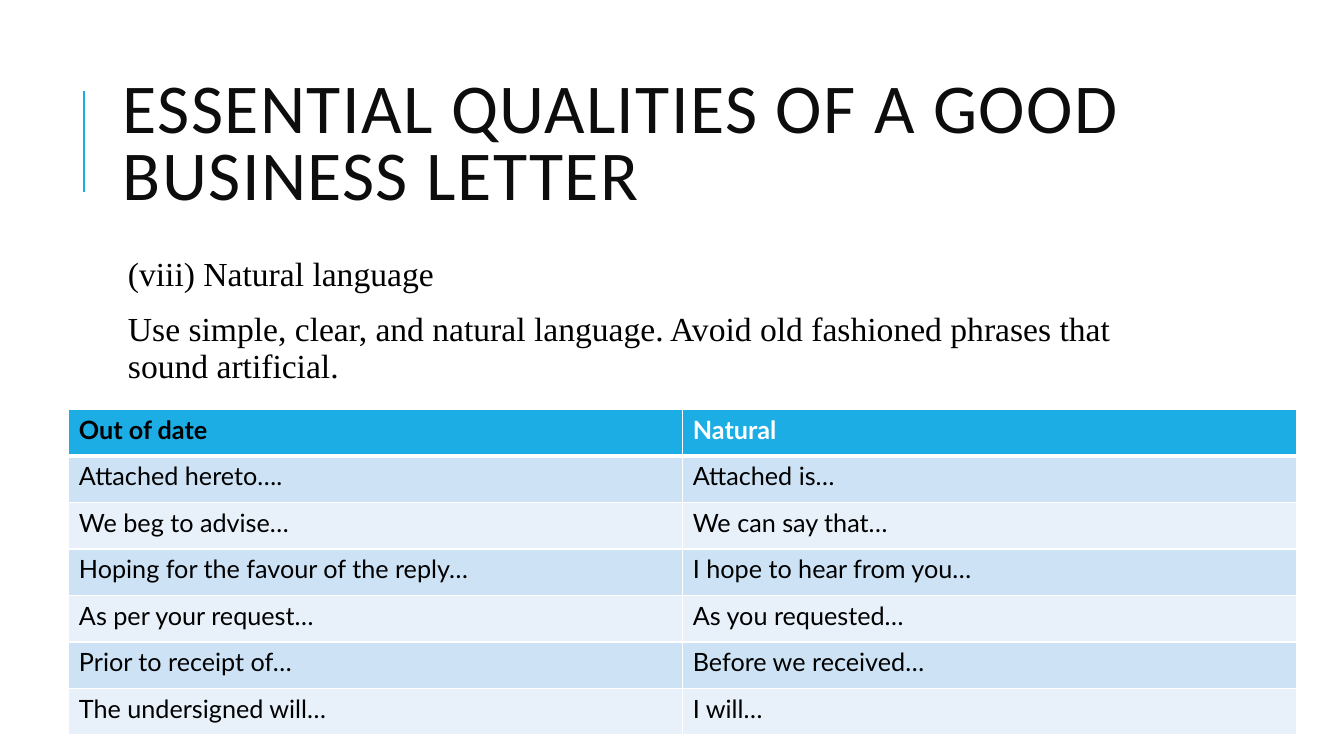
import lxml.etree
import pptx
import pptx.dml.color
import pptx.enum.shapes
import pptx.enum.text
import pptx.oxml.ns
import pptx.util

Pt = pptx.util.Pt
COLORS = {
    "accent": "1CADE4",
    "title": "0D0D0D",
    "black": "000000",
    "white": "FFFFFF",
    "band_dark": "CDE3F5",
    "band_light": "E8F1FA",
}
PHRASES = [
    ("Out of date", "Natural"),
    ("Attached hereto….", "Attached is…"),
    ("We beg to advise…", "We can say that…"),
    ("Hoping for the favour of the reply…", "I hope to hear from you…"),
    ("As per your request…", "As you requested…"),
    ("Prior to receipt of…", "Before we received…"),
    ("The undersigned will…", "I will…"),
]
ADVICE = [
    "(viii) Natural language",
    "Use simple, clear, and natural language. Avoid old fashioned phrases that sound artificial.",
]


def color(name):
    return pptx.dml.color.RGBColor.from_string(COLORS[name])


def add_element(parent, tag, **attributes):
    element = lxml.etree.SubElement(parent, pptx.oxml.ns.qn(tag))
    for name, value in attributes.items():
        element.set(name, str(value))
    return element


def write_text(paragraph, text, *, font, size, fill="black", bold=False,
               line_spacing=1.0, before=0, after=0, tracking=0):
    paragraph.alignment = pptx.enum.text.PP_ALIGN.LEFT
    paragraph.line_spacing = line_spacing
    paragraph.space_before, paragraph.space_after = Pt(before), Pt(after)
    run = paragraph.add_run()
    run.text = text
    run.font.name, run.font.size, run.font.bold = font, Pt(size), bold
    run.font.color.rgb = color(fill)
    if tracking:
        run.font._element.set("spc", str(tracking * 100))


def place(shape, left, top, width, height):
    shape.left, shape.top = Pt(left), Pt(top)
    shape.width, shape.height = Pt(width), Pt(height)
    shape.text_frame.word_wrap = True
    shape.text_frame.auto_size = pptx.enum.text.MSO_AUTO_SIZE.NONE


def build_title(slide, left, top, width, height):
    # Accent bar beside the title
    bar_left, bar_top, bar_height = left - 20.6, top + 18.7, 72
    bar = slide.shapes.add_connector(
        pptx.enum.shapes.MSO_CONNECTOR.STRAIGHT,
        Pt(bar_left), Pt(bar_top + bar_height), Pt(bar_left), Pt(bar_top))
    bar.line.color.rgb = color("accent")
    bar.line.width = Pt(1.5)
    add_element(bar._element.spPr, "a:effectLst")

    # Title text
    title = slide.shapes.title
    place(title, left, top, width, height)
    title.text_frame.vertical_anchor = pptx.enum.text.MSO_ANCHOR.MIDDLE
    write_text(title.text_frame.paragraphs[0],
               "ESSENTIAL QUALITIES OF A GOOD BUSINESS LETTER",
               font="Calibri", size=50, fill="title", line_spacing=0.8, tracking=1)


def build_advice(slide, left, top, width, height):
    body = slide.placeholders[1]
    place(body, left, top, width, height)
    frame = body.text_frame
    frame.vertical_anchor = pptx.enum.text.MSO_ANCHOR.TOP
    frame.margin_left = frame.margin_right = Pt(3.6)
    frame.margin_top = frame.margin_bottom = Pt(3.6)
    for index, text in enumerate(ADVICE):
        paragraph = frame.add_paragraph() if index else frame.paragraphs[0]
        write_text(paragraph, text, font="Times New Roman", size=24,
                   line_spacing=0.9, before=12, after=2)
        # Hanging indent with a blank bullet
        properties = paragraph._element.get_or_add_pPr()
        properties.set("marL", str(Pt(7.2)))
        properties.set("indent", str(Pt(-7.2)))
        bullet_color = add_element(properties, "a:buClr")
        add_element(bullet_color, "a:srgbClr", val=COLORS["accent"])
        add_element(properties, "a:buChar", char=" ")


def format_cell(cell, fill, bottom_width):
    # Borders precede the fill in the cell properties
    properties = cell._tc.get_or_add_tcPr()
    for side, width in (("L", 1), ("R", 1), ("T", 1), ("B", bottom_width)):
        border = add_element(properties, f"a:ln{side}", w=Pt(width))
        border_fill = add_element(border, "a:solidFill")
        add_element(border_fill, "a:srgbClr", val=COLORS["white"])
    cell.fill.solid()
    cell.fill.fore_color.rgb = color(fill)


def build_phrase_table(slide, left, top, width, height):
    row_count, column_count = len(PHRASES), len(PHRASES[0])
    table = slide.shapes.add_table(row_count, column_count, Pt(left), Pt(top),
                                   Pt(width), Pt(height)).table
    for column in table.columns:
        column.width = Pt(width / column_count)
    for row_index, phrases in enumerate(PHRASES):
        table.rows[row_index].height = Pt(height / row_count)
        header = row_index == 0
        band = "band_dark" if row_index % 2 else "band_light"
        for column_index, text in enumerate(phrases):
            cell = table.cell(row_index, column_index)
            format_cell(cell, "accent" if header else band, 3 if header else 1)
            white_text = header and column_index == 1
            write_text(cell.text_frame.paragraphs[0], text, font="Lato", size=18,
                       fill="white" if white_text else "black", bold=header)
            if header:
                continue
            # The thick header rule is shared with the first body row
            if row_index == 1:
                top_border = cell._tc.tcPr.find(pptx.oxml.ns.qn("a:lnT"))
                top_border.set("w", str(Pt(3)))


presentation = pptx.Presentation()
presentation.slide_width, presentation.slide_height = Pt(960), Pt(540)
slide = presentation.slides.add_slide(presentation.slide_layouts[1])
build_title(slide, 80.6, 46.1, 765.4, 118)
build_advice(slide, 80.6, 180, 765.4, 316.8)
build_phrase_table(slide, 49.2, 292.5, 877, 232.6)
presentation.save("out.pptx")
